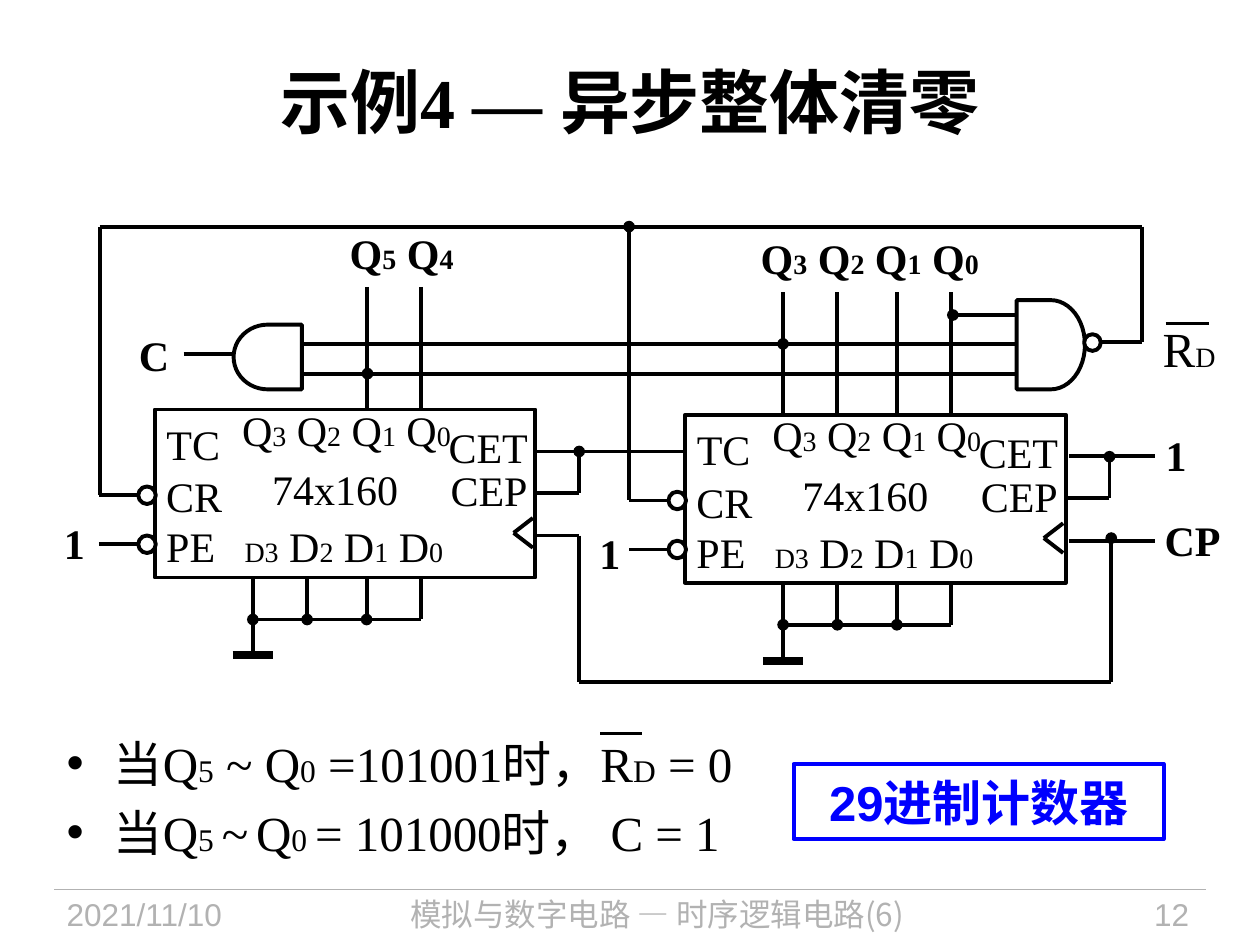
from lxml.etree import SubElement
from pptx import Presentation
from pptx.dml.color import RGBColor
from pptx.enum.shapes import MSO_CONNECTOR, MSO_SHAPE
from pptx.enum.text import MSO_ANCHOR, PP_ALIGN
from pptx.oxml.ns import qn
from pptx.util import Pt

BLACK, WHITE, BLUE, GREY = "000000", "FFFFFF", "0000FF", "B2B2B2"
SERIF, SANS, HAN = "Times New Roman", "Arial", "Noto Sans CJK SC"
LEFT, MID, RIGHT = PP_ALIGN.LEFT, PP_ALIGN.CENTER, PP_ALIGN.RIGHT

# In every text, "|" switches between the normal and the small size.
TITLE = "示例4 — 异步整体清零"
NOTES = ["当Q|5| ~ Q|0| =101001时，R|D| = 0",
         "当Q|5 |~| |Q|0 |= 101000时， C = 1"]
RESULT = "29进制计数器"
FOOTER = [("2021/11/10", 31, 135, LEFT, SANS),
          ("模拟与数字电路 — 时序逻辑电路(6)", 173, 405, MID, HAN),
          ("12", 590.5, 96, RIGHT, SANS)]

# Chip parts are measured from the top left corner of the chip.
CHIPS = [(88.5, 234), (391.5, 237)]
CHIP_W, CHIP_H = 217.5, 96
PINS = [56, 87, 121, 152]
USED = [PINS[2:], PINS]
CHIP_TEXT = [("TC", 22, 19.5), ("CR", 22.5, 49.5), ("PE", 20.5, 78),
             ("CET", 190.5, 21), ("CEP", 191, 46), ("74x160", 103, 45.5),
             ("Q|3| Q|2| Q|1| Q|0", 109.5, 11.5),
             ("D|3| D|2| D|1| D|0", 108, 78)]
INPUTS = [49, 77]
CHIP_WIRES = [(216, 62, 205, 70.5), (205, 70.5, 216, 79),
              (242.5, 24, 242.5, 47.5, True), (218, 47.5, 242.5, 47.5),
              (56, 120, 152, 120, True), (56, 96, 56, 140)]

# Wires: x1, y1, x2, y2 and whether a dot marks the start.
WIRES = [(57, 129.5, 652.5, 129.5), (57, 129.5, 57, 283),
         (359.5, 129.5, 359.5, 286, True), (652.5, 129.5, 652.5, 195.5),
         (629, 195.5, 652.5, 195.5), (306, 258, 391.5, 258),
         (307, 306, 331, 306), (331, 306, 331, 389.5),
         (331, 389.5, 635, 389.5), (635, 307.5, 635, 389.5, True),
         (611, 260.5, 660, 260.5), (611, 309, 660, 309),
         (447.5, 196.5, 173, 196.5, True), (447.5, 196.5, 581, 196.5),
         (210, 213.5, 173, 213.5, True), (210, 213.5, 581, 213.5),
         (544.5, 180, 581, 180, True), (105, 202.5, 133, 202.5)]
SIGNALS = [("Q|5| Q|4", 229.5, 144.5), ("Q|3| Q|2| Q|1| Q|0", 497, 147.5),
           ("C", 88, 202.5), ("1", 42.5, 310), ("1", 348.5, 316),
           ("1", 672, 260), ("CP", 681.5, 308.5)]
BARS = [(343, 419, 367), (666, 185, 691)]

deck = Presentation()
deck.slide_width, deck.slide_height = Pt(720), Pt(540)
slide = deck.slides.add_slide(deck.slide_layouts[5])
shapes = slide.shapes


def tint(code):
    """Turn a hex string into a colour."""
    return RGBColor.from_string(code)


def write(par, text, size=24, small=16, font=SERIF, color=BLACK, bold=False):
    """Fill a paragraph with runs of alternating size."""
    for i, part in enumerate(text.split("|")):
        run = par.add_run()
        run.text = part
        form = {"name": font, "bold": bold,
                "size": Pt(small if i % 2 or part == "D" else size)}
        for key, value in form.items():
            setattr(run.font, key, value)
        run.font.color.rgb = tint(color)
        SubElement(run.font._element, qn("a:ea"), typeface=HAN)


def frame(shape, wrap=True, anchor=MSO_ANCHOR.TOP, pad=None):
    """Set up the text frame of a shape and return it."""
    body = shape.text_frame
    form = {"word_wrap": wrap, "vertical_anchor": anchor}
    if pad is not None:
        form.update({f"margin_{s}": Pt(pad)
                     for s in ("left", "right", "top", "bottom")})
    for key, value in form.items():
        setattr(body, key, value)
    return body


def box(x, y, w, h):
    """Add an empty text box."""
    return shapes.add_textbox(Pt(x), Pt(y), Pt(w), Pt(h))


def label(text, cx, cy, **form):
    """Add a text centred on a point."""
    body = frame(box(cx - 75, cy - 18, 150, 36), False, MSO_ANCHOR.MIDDLE, 0)
    body.paragraphs[0].alignment = MID
    write(body.paragraphs[0], text, **form)


def wire(x1, y1, x2, y2, dot=False, width=2.25, color=BLACK):
    """Add a straight line, with a dot at its start if wanted."""
    line = shapes.add_connector(MSO_CONNECTOR.STRAIGHT,
                                Pt(x1), Pt(y1), Pt(x2), Pt(y2))
    line.line.width = Pt(width)
    line.line.color.rgb = tint(color)
    if dot:
        SubElement(line.line._get_or_add_ln(), qn("a:headEnd"), type="oval")
    SubElement(line._element.spPr, qn("a:effectLst"))


def form(kind, x, y, w, h, fill=None, color=BLACK, turn=0):
    """Add an outlined shape."""
    shape = shapes.add_shape(kind, Pt(x), Pt(y), Pt(w), Pt(h))
    shape.shadow.inherit = False
    shape.rotation = turn
    shape.line.width = Pt(2.25)
    shape.line.color.rgb = tint(color)
    if fill:
        shape.fill.solid()
        shape.fill.fore_color.rgb = tint(fill)
    else:
        shape.fill.background()
    return shape


def chip(x, y, used):
    """Draw one counter with its pins, inputs and ground."""
    form(MSO_SHAPE.RECTANGLE, x, y, CHIP_W, CHIP_H)
    lines = CHIP_WIRES + [(pin, -70, pin, 0) for pin in used]
    lines += [(pin, 120, pin, 96, pin < PINS[-1]) for pin in PINS[1:]]
    lines += [(-32, level, 0, level) for level in INPUTS]
    for x1, y1, x2, y2, *dot in lines:
        wire(x + x1, y + y1, x + x2, y + y2, *dot)
    wire(x + 44.5, y + 140.5, x + 67.5, y + 140.5, width=4.5)
    for level in INPUTS:
        form(MSO_SHAPE.OVAL, x - 9.5, y + level - 5, 10, 10, WHITE)
    for text, cx, cy in CHIP_TEXT:
        label(text, x + cx, y + cy)


# Title and footer
title = shapes.title
place = {"left": 36, "top": 12.5, "width": 648, "height": 90}
for key, value in place.items():
    setattr(title, key, Pt(value))
head = frame(title, anchor=MSO_ANCHOR.MIDDLE).paragraphs[0]
head.alignment = MID
write(head, TITLE, size=40, bold=True)
wire(31, 508.5, 689, 508.5, width=0.75, color=GREY)
for text, x, w, side, font in FOOTER:
    par = frame(box(x, 508.5, w, 31.5)).paragraphs[0]
    par.alignment, par.line_spacing = side, Pt(20.7)
    write(par, text, size=18, font=font, color=GREY)

# Circuit
for spot, used in zip(CHIPS, USED):
    chip(*spot, used)
for ends in WIRES:
    wire(*ends)
form(MSO_SHAPE.FLOWCHART_DELAY, 133.5, 185.5, 39, 37, WHITE, turn=180)
form(MSO_SHAPE.FLOWCHART_DELAY, 581, 171.5, 39, 51, WHITE)
form(MSO_SHAPE.OVAL, 619.5, 191, 9.5, 9.5, WHITE)
for text, cx, cy in SIGNALS:
    label(text, cx, cy, bold=True)
label("R|D", 679.5, 199, size=28)

# Conclusions
body = frame(box(31, 415.5, 506, 88))
for i, text in enumerate(NOTES):
    par = body.add_paragraph() if i else body.paragraphs[0]
    par.line_spacing, par.space_after = Pt(33.8), Pt(5.6)
    props = par._p.get_or_add_pPr()
    props.set("marL", str(Pt(27)))
    props.set("indent", str(Pt(-27)))
    SubElement(props, qn("a:buFont"), typeface=SANS)
    SubElement(props, qn("a:buChar"), char="•")
    write(par, text, size=28, small=18)
for x1, y, x2 in BARS:
    wire(x1, y, x2, y, width=1.5)
result = form(MSO_SHAPE.RECTANGLE, 453.5, 436.5, 211.5, 43, color=BLUE)
par = frame(result, anchor=MSO_ANCHOR.MIDDLE, pad=0).paragraphs[0]
par.alignment = MID
write(par, RESULT, size=28, font=SANS, color=BLUE, bold=True)

deck.save("out.pptx")
